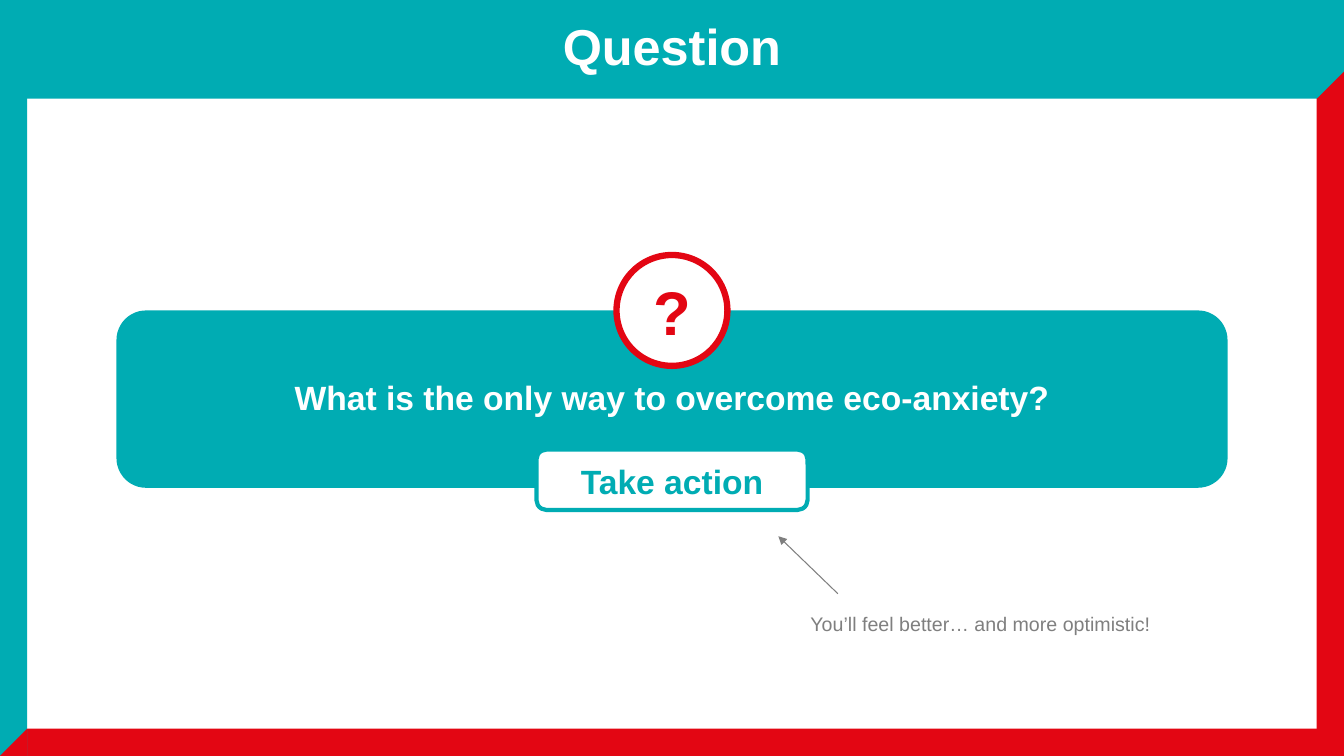
from lxml import etree
from pptx import Presentation
from pptx.dml.color import RGBColor
from pptx.enum.shapes import MSO_CONNECTOR, MSO_SHAPE
from pptx.enum.text import MSO_ANCHOR, PP_ALIGN
from pptx.oxml.ns import qn
from pptx.util import Inches, Pt

RECT, ROUND = MSO_SHAPE.RECTANGLE, MSO_SHAPE.ROUNDED_RECTANGLE
OVAL, CORNER = MSO_SHAPE.OVAL, MSO_SHAPE.RIGHT_TRIANGLE
TOP, MIDDLE, BOTTOM = MSO_ANCHOR.TOP, MSO_ANCHOR.MIDDLE, MSO_ANCHOR.BOTTOM
LEFT, CENTER = PP_ALIGN.LEFT, PP_ALIGN.CENTER

COLORS = {"teal": "00ACB3", "red": "E30613", "white": "FFFFFF", "gray": "7F7F7F"}
FONT = "Arial"
TITLE = "Question"
QUESTION = "What is the only way to overcome eco-anxiety?"
MARK = "?"
ANSWER = "Take action"
REMARK = "You’ll feel better… and more optimistic!"

W, H = 13.33, 7.5
EDGE = 0.27
HEADER = 0.98
FRAME = [
    (RECT, (0, H - EDGE, W, EDGE), "red", 0),
    (RECT, (0, 0, EDGE, H), "teal", 0),
    (RECT, (W - EDGE, 0, EDGE, H), "red", 0),
    (RECT, (0, 0, W, HEADER), "teal", 0),
    (CORNER, (0, H - EDGE, EDGE, EDGE), "red", 270),
    (CORNER, (W - EDGE, HEADER - EDGE, EDGE, EDGE), "red", 270),
]
CARD_TOP, CARD_W, CARD_H = 3.08, 11.02, 1.76
BADGE = 1.1
ANSWER_TOP, ANSWER_W, ANSWER_H = 4.46, 2.69, 0.6
ARROW = (8.31, 5.89, 7.72, 5.32)
REMARK_BOX = (7.94, 6.02, 3.63, 0.34)


def rgb(name):
    return RGBColor.from_string(COLORS[name])


def centered(top, width, height):
    return (W - width) / 2, top, width, height


def add_shape(s, kind, box, fill, line=None, weight=0, rotation=0):
    sp = s.shapes.add_shape(kind, *map(Inches, box))
    sp.shadow.inherit = False
    sp.rotation = rotation
    sp.fill.solid()
    sp.fill.fore_color.rgb = rgb(fill)
    if line:
        sp.line.color.rgb = rgb(line)
        sp.line.width = Pt(weight)
    else:
        sp.line.fill.background()
    return sp


def write(sp, text, size, color, bold=True, align=CENTER, anchor=MIDDLE,
          spacing=0.9, top=0.05):
    tf = sp.text_frame
    tf.word_wrap = True
    tf.vertical_anchor = anchor
    tf.margin_left = tf.margin_right = Inches(0.1)
    tf.margin_top, tf.margin_bottom = Inches(top), Inches(0.05)
    p = tf.paragraphs[0]
    p.alignment = align
    p.line_spacing = spacing
    r = p.add_run()
    r.text = text
    r.font.name, r.font.size, r.font.bold = FONT, Pt(size), bold
    r.font.color.rgb = rgb(color)


def add_arrow(s, ends, color, weight):
    arrow = s.shapes.add_connector(MSO_CONNECTOR.STRAIGHT, *map(Inches, ends))
    arrow.line.color.rgb = rgb(color)
    arrow.line.width = Pt(weight)
    etree.SubElement(arrow.line._get_or_add_ln(), qn("a:tailEnd"), type="triangle")
    etree.SubElement(arrow._element.spPr, qn("a:effectLst"))


def main():
    prs = Presentation()
    prs.slide_width, prs.slide_height = Inches(W), Inches(H)
    s = prs.slides.add_slide(prs.slide_layouts[5])

    for kind, box, fill, rotation in FRAME:
        add_shape(s, kind, box, fill, rotation=rotation)

    title = s.shapes.title
    title.left, title.top, title.width, title.height = map(Inches, (0, 0, W, HEADER))
    write(title, TITLE, 36, "white")
    s.shapes._spTree.append(title._element)

    card = add_shape(s, ROUND, centered(CARD_TOP, CARD_W, CARD_H), "teal")
    write(card, QUESTION, 24, "white", anchor=TOP, top=0.62)

    badge_box = centered(CARD_TOP - BADGE / 2, BADGE, BADGE)
    badge = add_shape(s, OVAL, badge_box, "white", "red", 4.5)
    write(badge, MARK, 44, "red", spacing=1)

    answer_box = centered(ANSWER_TOP, ANSWER_W, ANSWER_H)
    answer = add_shape(s, ROUND, answer_box, "white", "teal", 3)
    write(answer, ANSWER, 24, "teal", anchor=BOTTOM)

    add_arrow(s, ARROW, "gray", 0.75)
    remark = s.shapes.add_textbox(*map(Inches, REMARK_BOX))
    write(remark, REMARK, 14, "gray", bold=False, align=LEFT, anchor=TOP, spacing=1)

    prs.save("out.pptx")


if __name__ == "__main__":
    main()
